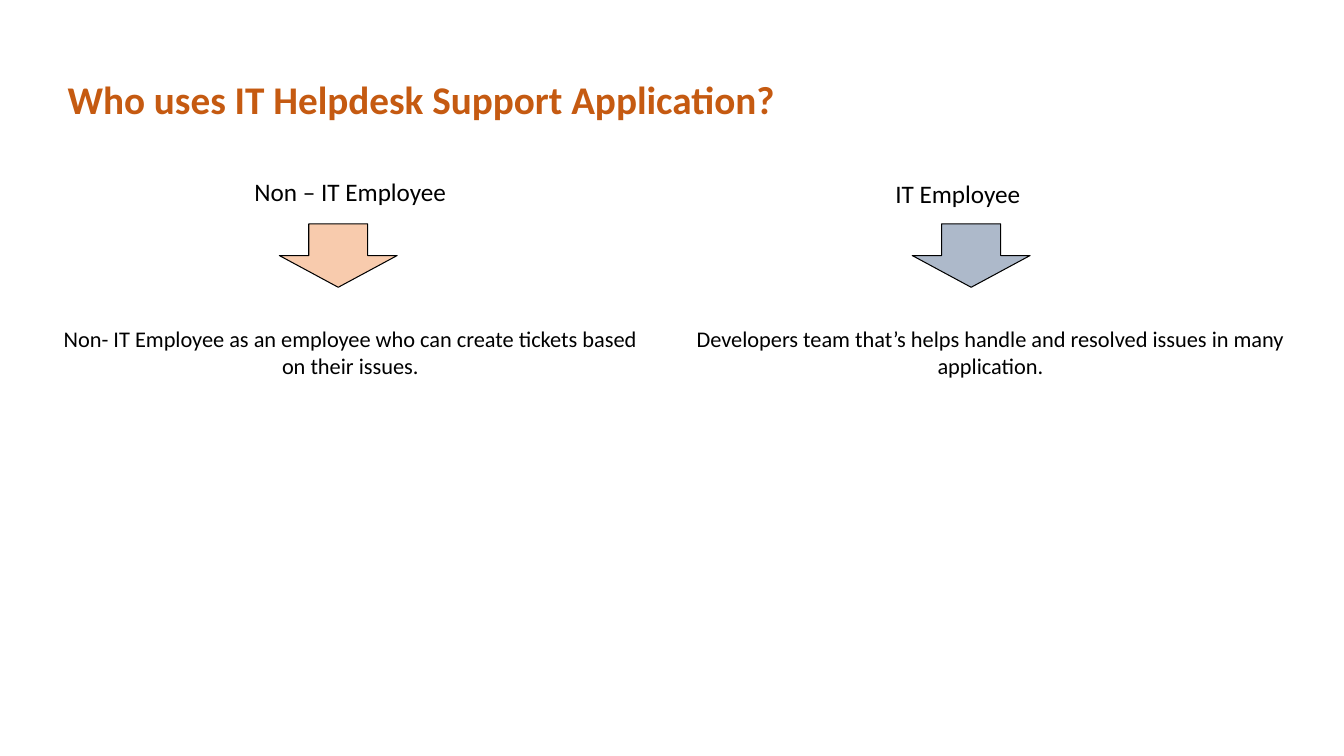
from pptx import Presentation
from pptx.dml.color import RGBColor
from pptx.enum.shapes import MSO_SHAPE
from pptx.enum.text import MSO_ANCHOR, PP_ALIGN
from pptx.util import Cm, Pt

HUES = {
    "title": "C55A11",
    "text": "000000",
    "line": "000000",
    "peach": "F8CBAD",
    "slate": "ADB9CA",
}
FONT = "Calibri"
USERS = [
    {
        "left": 1.02, "head": "Non – IT Employee", "shift": (0, 0),
        "arrow": 6.02, "fill": "peach",
        "note": "Non- IT Employee as an employee who can create tickets based on their issues.",
    },
    {
        "left": 17.15, "head": "IT Employee", "shift": (-0.82, 0.05),
        "arrow": 5.84, "fill": "slate",
        "note": "Developers team that’s helps handle and resolved issues in many application.",
    },
]


def hue(name):
    return RGBColor.from_string(HUES[name])


def write(frame, text, size, color, align, bold=False):
    frame.word_wrap = True
    line = frame.paragraphs[0]
    line.alignment = align
    run = line.add_run()
    run.text = text
    run.font.name = FONT
    run.font.size = Pt(size)
    run.font.bold = bold
    run.font.color.rgb = hue(color)
    return line


def add_title(slide, left, top, width, height):
    title = slide.shapes.title
    title.left, title.top = Cm(left), Cm(top)
    title.width, title.height = Cm(width), Cm(height)
    frame = title.text_frame
    frame.vertical_anchor = MSO_ANCHOR.MIDDLE
    line = write(frame, "Who uses IT Helpdesk Support Application?",
                 28, "title", PP_ALIGN.LEFT, True)
    line.line_spacing = 0.9
    line.space_before = Pt(0)


def add_label(slide, text, size, left, top, width, height):
    box = slide.shapes.add_textbox(Cm(left), Cm(top), Cm(width), Cm(height))
    write(box.text_frame, text, size, "text", PP_ALIGN.CENTER)


def add_arrow(slide, fill, left, top):
    arrow = slide.shapes.add_shape(
        MSO_SHAPE.DOWN_ARROW, Cm(left), Cm(top), Cm(2.97), Cm(1.6))
    arrow.shadow.inherit = False
    arrow.fill.solid()
    arrow.fill.fore_color.rgb = hue(fill)
    arrow.line.color.rgb = hue("line")
    arrow.line.width = Pt(0.75)


def add_user(slide, user, left, top, width):
    right, down = user["shift"]
    add_arrow(slide, user["fill"], left + user["arrow"], top + 1.32)
    add_label(slide, user["note"], 16, left, top + 3.76, width, 1.63)
    add_label(slide, user["head"], 18, left + right, top + down, width, 1.02)


def main():
    deck = Presentation()
    deck.slide_width, deck.slide_height = Cm(33.87), Cm(19.05)
    slide = deck.slides.add_slide(deck.slide_layouts[5])
    add_title(slide, 1.45, 1.22, 28.93, 2.67)
    for user in USERS:
        add_user(slide, user, user["left"], 4.32, 15.62)
    deck.save("out.pptx")


if __name__ == "__main__":
    main()
